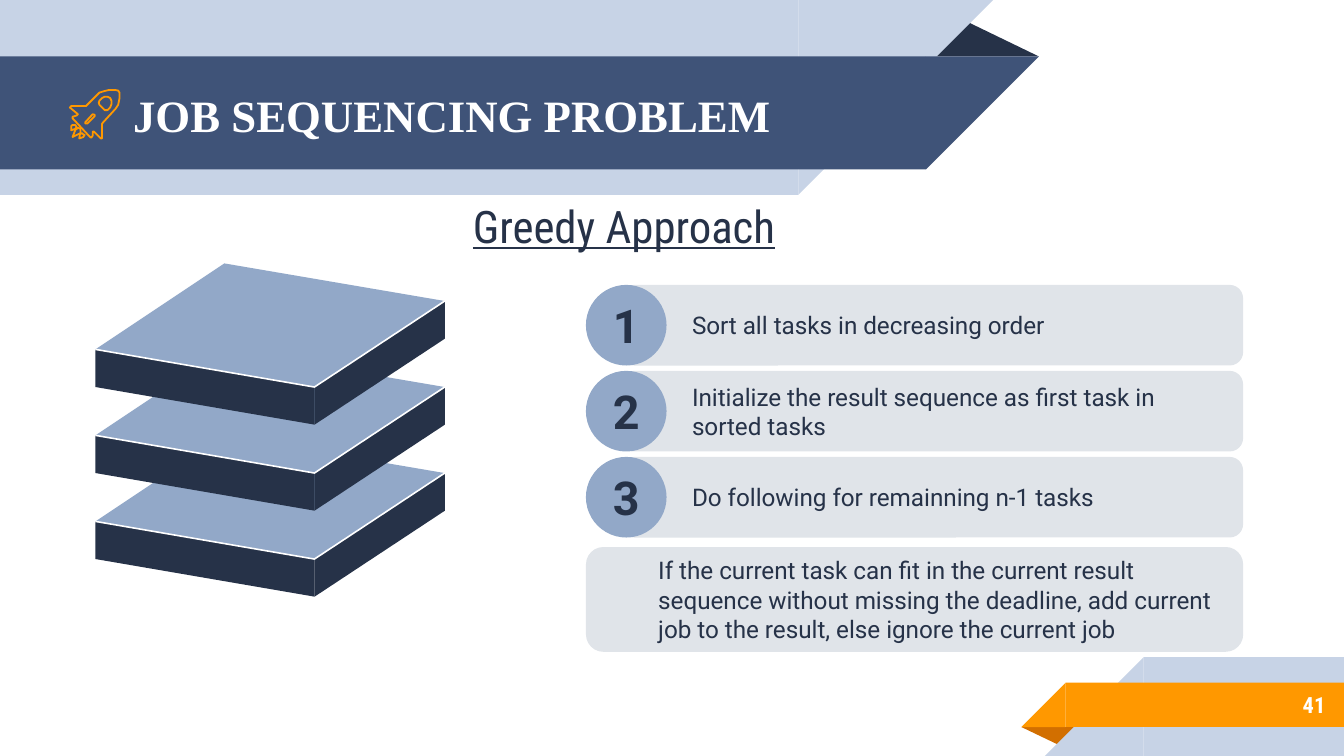
import pptx
import pptx.util
import pptx.dml.color
import pptx.enum.shapes
import pptx.enum.text

Inches = pptx.util.Inches
Pt = pptx.util.Pt
RGBColor = pptx.dml.color.RGBColor
KIND = pptx.enum.shapes.MSO_SHAPE
ALIGN = pptx.enum.text.PP_ALIGN
MIDDLE = pptx.enum.text.MSO_ANCHOR.MIDDLE

DARK = RGBColor(0x26, 0x32, 0x48)
NAVY = RGBColor(0x3F, 0x53, 0x78)
BLUE = RGBColor(0x92, 0xA8, 0xC8)
PALE = RGBColor(0xC7, 0xD3, 0xE6)
GRAY = RGBColor(0xE0, 0xE4, 0xE9)
AMBER = RGBColor(0xFF, 0x98, 0x00)
RUST = RGBColor(0xD2, 0x6F, 0x00)
WHITE = RGBColor(0xFF, 0xFF, 0xFF)

HEAD = {"name": "Times New Roman", "size": Pt(24), "bold": True}
SUB = {"name": "Roboto Condensed", "size": Pt(24), "underline": True}
BODY = {"name": "Roboto", "size": Pt(13), "bold": False}
DIGIT = {"name": "Roboto", "size": Pt(25), "bold": True}
PAGE = {"name": "Roboto Condensed", "size": Pt(12), "bold": True}

STEPS = [
    "Sort all tasks in decreasing order",
    "Initialize the result sequence as first task in sorted tasks",
    "Do following for remainning n-1 tasks",
]
NOTE = ("If the current task can fit in the current result sequence without "
        "missing the deadline, add current job to the result, else ignore the current job")

ROCKET = [
    [[(24, 35), (24, 25), (34, 14), (36, 11), (37, 6), (37, 2), (36, 0.5),
      (34, 0), (29, 0), (25, 1), (22, 2), (12, 12), (1, 12), (0, 13), (6, 18),
      (5, 19), (2, 20), (2, 21), (15, 35), (16, 35.5), (17, 34), (17, 31),
      (18, 31), (23, 36), (24, 36)],
     [(13, 25), (11.5, 25), (11.5, 24), (17, 18), (18.5, 18.5), (18.5, 19.5)],
     [(28, 15), (26, 15), (22, 11), (21.5, 9.5), (22, 8), (24, 6), (26, 5),
      (28, 5), (30, 6), (31, 8), (31, 10.5), (30, 13)]],
    [[(8, 29), (6, 28), (4, 30), (2, 35), (6, 33), (8, 32)]],
    [[(10, 33), (9, 32), (7.5, 33), (7, 36), (10, 35), (11, 33.5)]],
    [[(4, 26), (2, 26), (1, 27), (1, 30), (4, 29), (5, 27.5)]],
]


def paint(shape, fill=None, line=None, width=1):
    """Give a shape a flat fill and line, without shadow."""
    shape.shadow.inherit = False
    if fill is None:
        shape.fill.background()
    else:
        shape.fill.solid()
        shape.fill.fore_color.rgb = fill
    if line is None:
        shape.line.fill.background()
    else:
        shape.line.color.rgb = line
        shape.line.width = Pt(width)


def block(host, kind, box, fill, turn=0):
    """Add a filled preset shape."""
    shape = host.add_shape(kind, *map(Inches, box))
    shape.rotation = turn
    paint(shape, fill)
    return shape


def trace(host, left, top, loops, close=True, **look):
    """Draw an outline from loops of points set off from a corner."""
    loops = [[(Inches(left + x), Inches(top + y)) for x, y in loop] for loop in loops]
    pen = host.build_freeform(*loops[0][0])
    for place, loop in enumerate(loops):
        if place:
            pen.move_to(*loop[0])
        pen.add_line_segments(loop[1:], close)
    paint(pen.convert_to_shape(), **look)


def write(shape, text, style, color, align=ALIGN.LEFT, inset=0.1):
    """Set styled text, centred in height, into a shape."""
    frame = shape.text_frame
    layout = {"word_wrap": True, "vertical_anchor": MIDDLE,
              "margin_left": Inches(inset), "margin_right": Inches(0.1),
              "margin_top": Inches(0.1), "margin_bottom": Inches(0.1)}
    for key, value in layout.items():
        setattr(frame, key, value)
    line = frame.paragraphs[0]
    line.alignment = align
    run = line.add_run()
    run.text = text
    for key, value in style.items():
        setattr(run.font, key, value)
    run.font.color.rgb = color


def banner(slide, left, top, width, height):
    """Draw the head ribbon and its title."""
    host = slide.shapes.add_group_shape().shapes
    fold = block(host, KIND.ISOSCELES_TRIANGLE, (left + width - 0.85, top + 0.14, 0.85, 0.28), DARK)
    fold.adjustments[0] = 0.32
    for drop, reach, tall, fill in ((0, width - 0.34, height, PALE), (0.42, width, 0.84, NAVY)):
        flat = reach - tall
        block(host, KIND.RECTANGLE, (left, top + drop, flat, tall), fill)
        block(host, KIND.RIGHT_TRIANGLE, (left + flat, top + drop, tall, tall), fill, 90)
    title = slide.shapes.title
    box = {"left": left + 0.89, "top": top + 0.43, "width": 6.19, "height": 0.84}
    for key, value in box.items():
        setattr(title, key, Inches(value))
    write(title, "JOB SEQUENCING PROBLEM", HEAD, WHITE)
    slide.shapes.element.append(title.element)


def rocket(slide, left, top, width):
    """Draw the rocket icon in lines."""
    host = slide.shapes.add_group_shape().shapes
    unit = width / 37
    for part in ROCKET:
        loops = [[(x * unit, y * unit) for x, y in loop] for loop in part]
        trace(host, left, top, loops, line=AMBER, width=0.96)


def footer(slide, left, top, width, height):
    """Draw the foot ribbon and the page number."""
    host = slide.shapes.add_group_shape().shapes
    fold = block(host, KIND.ISOSCELES_TRIANGLE, (left, top + 0.52, 0.43, 0.14), RUST, 180)
    fold.adjustments[0] = 0.32
    for start, drop, tall, fill in ((0.17, 0, height, PALE), (0, 0.19, 0.33, AMBER)):
        edge = left + start + tall
        block(host, KIND.RECTANGLE, (edge, top + drop, left + width - edge, tall), fill)
        block(host, KIND.RIGHT_TRIANGLE, (left + start, top + drop, tall, tall), fill, 270)
    box = slide.shapes.add_textbox(*map(Inches, (left + 0.73, top + 0.18, 1.63, 0.35)))
    write(box, "41", PAGE, WHITE, ALIGN.RIGHT)


def layer(slide, left, top):
    """Draw one slab of the stack."""
    host = slide.shapes.add_group_shape().shapes
    west, north, east, south = (0, 0.64), (0.96, 0), (2.6, 0.28), (1.63, 0.92)
    low = [(x, y + 0.28) for x, y in (west, south, east)]
    trace(host, left, top, [[south, low[1], low[2], east]], fill=DARK)
    trace(host, left, top, [[south, east, north, west]], fill=BLUE)
    trace(host, left, top, [[west, low[0], low[1], south]], fill=DARK)
    trace(host, left, top, [[west, south, east]], close=False, line=WHITE, width=0.85)


def card(slide, text, left, top, width, height):
    """Add a rounded card with text."""
    shape = block(slide.shapes, KIND.ROUNDED_RECTANGLE, (left, top, width, height), GRAY)
    write(shape, text, BODY, DARK, inset=0.5)


def step(slide, count, text, left, top, width, height):
    """Add a card with a numbered disc."""
    card(slide, text, left + 0.26, top, width - 0.26, height)
    disc = block(slide.shapes, KIND.OVAL, (left, top, height, height), BLUE)
    write(disc, str(count), DIGIT, DARK, ALIGN.CENTER)


def heading(slide, left, top, width, height):
    """Add the underlined heading."""
    box = slide.shapes.add_textbox(*map(Inches, (left, top, width, height)))
    write(box, "Greedy Approach", SUB, DARK)
    frame = box.text_frame
    layout = {"word_wrap": False, "vertical_anchor": pptx.enum.text.MSO_ANCHOR.TOP,
              "margin_top": Inches(0.05), "margin_bottom": Inches(0.05),
              "auto_size": pptx.enum.text.MSO_AUTO_SIZE.SHAPE_TO_FIT_TEXT}
    for key, value in layout.items():
        setattr(frame, key, value)
    frame.paragraphs[0].space_after = Pt(10)


def main():
    """Build and save the slide."""
    deck = pptx.Presentation()
    deck.slide_width = Inches(10)
    deck.slide_height = deck.slide_width * 9 // 16
    slide = deck.slides.add_slide(deck.slide_layouts[5])
    banner(slide, 0, 0, 7.73, 1.45)
    rocket(slide, 0.52, 0.67, 0.37)
    footer(slide, 7.6, 4.89, 2.4, 0.74)
    for place, text in reversed(list(enumerate(STEPS))):
        drop = 0.64 * place
        layer(slide, 0.71, 1.96 + drop)
        step(slide, place + 1, text, 4.36, 2.12 + drop, 4.89, 0.6)
    card(slide, NOTE, 4.36, 4.07, 4.89, 0.78)
    heading(slide, 3.42, 1.43, 2.48, 0.5)
    deck.save("out.pptx")


if __name__ == "__main__":
    main()
